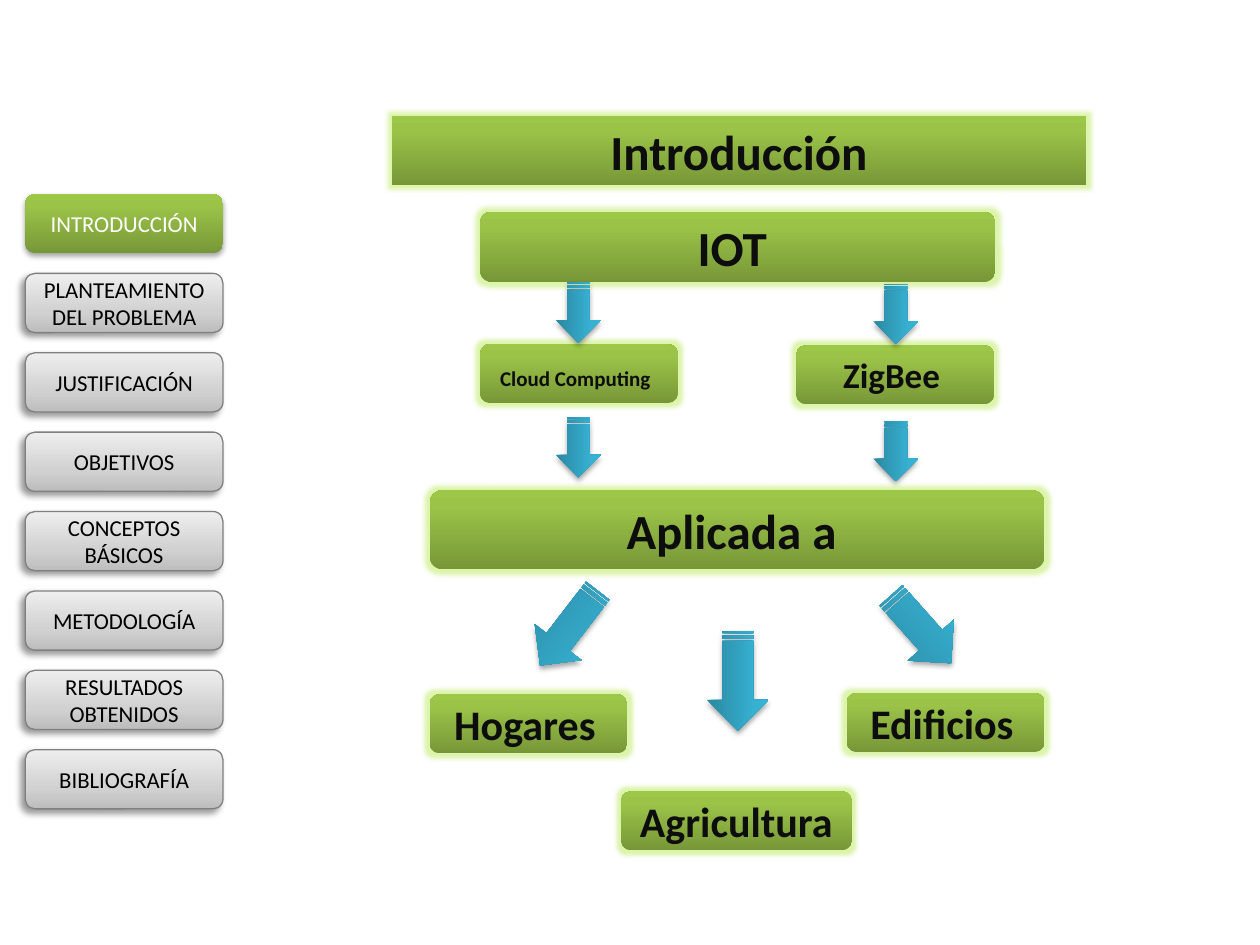
from dataclasses import dataclass

from lxml.etree import SubElement
from copy import deepcopy
from pptx import Presentation
from pptx.dml.color import RGBColor as Rgb
from pptx.enum.shapes import MSO_SHAPE as Geo
from pptx.enum.text import MSO_ANCHOR as Anchor, MSO_AUTO_SIZE as Auto, PP_ALIGN as Align
from pptx.oxml.ns import qn
from pptx.util import Inches, Pt


@dataclass(frozen=True)
class Theme:
    font: str = "Calibri"
    ink: str = "0D0D0D"
    black: str = "000000"
    white: str = "FFFFFF"
    edge: str = "808080"
    glow: str = "A8E42E"
    green: tuple = ((0, "779737"), (0.8, "9BC348"), (1, "9DC746"))
    gray: tuple = ((0, "BDBDBD"), (0.35, "D1D1D1"), (1, "EEEEEE"))
    blue: tuple = ((0, "2A88A2"), (0.8, "37B1D2"), (1, "34B4D6"))
    # Shadows: alpha %, blur pt, distance pt, direction in degrees
    soft: tuple = (35, 3.1, 1.8, 90)
    deep: tuple = (40, 4, 3, 135)
    nav: int = 13
    gap: int = 18
    head: int = 28
    leaf: int = 24


T = Theme()

MENU = ["INTRODUCCIÓN", "PLANTEAMIENTO DEL PROBLEMA", "JUSTIFICACIÓN",
        "OBJETIVOS", "CONCEPTOS BÁSICOS", "METODOLOGÍA",
        "RESULTADOS OBTENIDOS", "BIBLIOGRAFÍA"]

# Text, left, top, width, height, size
HEADS = [("IOT ", 3.81, 1.68, 4.09, 0.56, T.head),
         ("Aplicada a ", 3.41, 3.89, 4.88, 0.63, T.head)]
NODES = [("Cloud Computing", 3.81, 2.73, 1.57, 0.47, 12),
         ("ZigBee", 6.32, 2.74, 1.57, 0.47, 20),
         ("Hogares", 3.41, 5.51, 1.57, 0.47, T.leaf),
         ("Edificios", 6.72, 5.5, 1.57, 0.47, T.leaf),
         ("Agricultura", 4.93, 6.28, 1.83, 0.47, T.leaf)]

# Left, top, width, height, turn
ARROWS = [(4.35, 2.3, 0.48, 0.36, 90), (6.87, 2.31, 0.48, 0.36, 90),
          (4.35, 3.37, 0.48, 0.36, 90), (6.87, 3.4, 0.48, 0.36, 90),
          (4.14, 4.75, 0.75, 0.47, 127.6), (6.95, 4.75, 0.72, 0.49, 48.4),
          (5.46, 5.16, 0.79, 0.49, 90)]


def blend(shape, stops):
    """Fill from bottom to top with three colour stops."""
    fill = shape.fill
    fill.gradient()
    fill.gradient_angle = 90
    row = shape.element.spPr.find(".//" + qn("a:gsLst"))
    row.append(deepcopy(row[-1]))
    for stop, (place, color) in zip(fill.gradient_stops, stops):
        stop.position = place
        stop.color.rgb = Rgb.from_string(color)


def effect(shape, kind, color, alpha, **attrs):
    shape.shadow.inherit = False
    group = shape.element.spPr.find(qn("a:effectLst"))
    node = SubElement(group, qn(kind), {k: str(v) for k, v in attrs.items()})
    tint = SubElement(node, qn("a:srgbClr"), val=color)
    SubElement(tint, qn("a:alpha"), val=str(alpha * 1000))


def shade(shape, look):
    alpha, blur, dist, angle = look
    effect(shape, "a:outerShdw", T.black, alpha, blurRad=Pt(blur),
           dist=Pt(dist), dir=angle * 60000, algn="ctr", rotWithShape=0)


def write(shape, text, *, size, color, bold=False, tail=False):
    """Centre the text; tail adds the wider closing space."""
    frame = shape.text_frame
    frame.word_wrap = True
    frame.auto_size = Auto.NONE
    frame.vertical_anchor = Anchor.MIDDLE
    para = frame.paragraphs[0]
    para.alignment = Align.CENTER
    parts = [(text, size, color)] + ([(" ", T.gap, T.white)] if tail else [])
    for words, points, ink in parts:
        run = para.add_run()
        run.text = words
        font = run.font
        font.name, font.size, font.bold = T.font, Pt(points), bold
        font.color.rgb = Rgb.from_string(ink)


def block(slide, geo, box, stops):
    shape = slide.shapes.add_shape(geo, *map(Inches, box))
    blend(shape, stops)
    shape.line.fill.background()
    return shape


def shine(shape):
    effect(shape, "a:glow", T.glow, 40, rad=Pt(5))


def title(slide, text, box):
    shape = slide.shapes.title
    shape.left, shape.top, shape.width, shape.height = map(Inches, box)
    geom = SubElement(shape.element.spPr, qn("a:prstGeom"), prst="roundRect")
    SubElement(geom, qn("a:avLst"))
    blend(shape, T.green)
    shine(shape)
    write(shape, text, size=T.head, color=T.ink, bold=True)


def button(slide, text, top, active):
    shape = block(slide, Geo.ROUNDED_RECTANGLE, (0.2, top, 1.57, 0.47),
                  T.green if active else T.gray)
    if not active:
        shape.line.color.rgb = Rgb.from_string(T.edge)
        shape.line.width = Pt(0.75)
    shade(shape, T.soft if active else T.deep)
    write(shape, text, size=T.nav, color=T.white if active else T.black)


def node(slide, text, *box, size, tail):
    shape = block(slide, Geo.ROUNDED_RECTANGLE, box, T.green)
    shine(shape)
    write(shape, text, size=size, color=T.ink, bold=True, tail=tail)


def arrow(slide, *box, turn):
    shape = block(slide, Geo.STRIPED_RIGHT_ARROW, box, T.blue)
    shape.rotation = turn
    shade(shape, T.soft)


def main():
    deck = Presentation()
    deck.slide_width, deck.slide_height = Inches(10), Inches(7.5)
    slide = deck.slides.add_slide(deck.slide_layouts[5])

    # Side menu
    for i, text in enumerate(MENU):
        button(slide, text, 1.54 + 0.63 * i, active=i == 0)

    # Diagram
    title(slide, "Introducción", (3.11, 0.92, 5.51, 0.55))
    for tail, group in ((False, HEADS), (True, NODES)):
        for text, *box, size in group:
            node(slide, text, *box, size=size, tail=tail)

    # Arrows over the boxes
    for *box, turn in ARROWS:
        arrow(slide, *box, turn=turn)

    deck.save("out.pptx")


if __name__ == "__main__":
    main()
